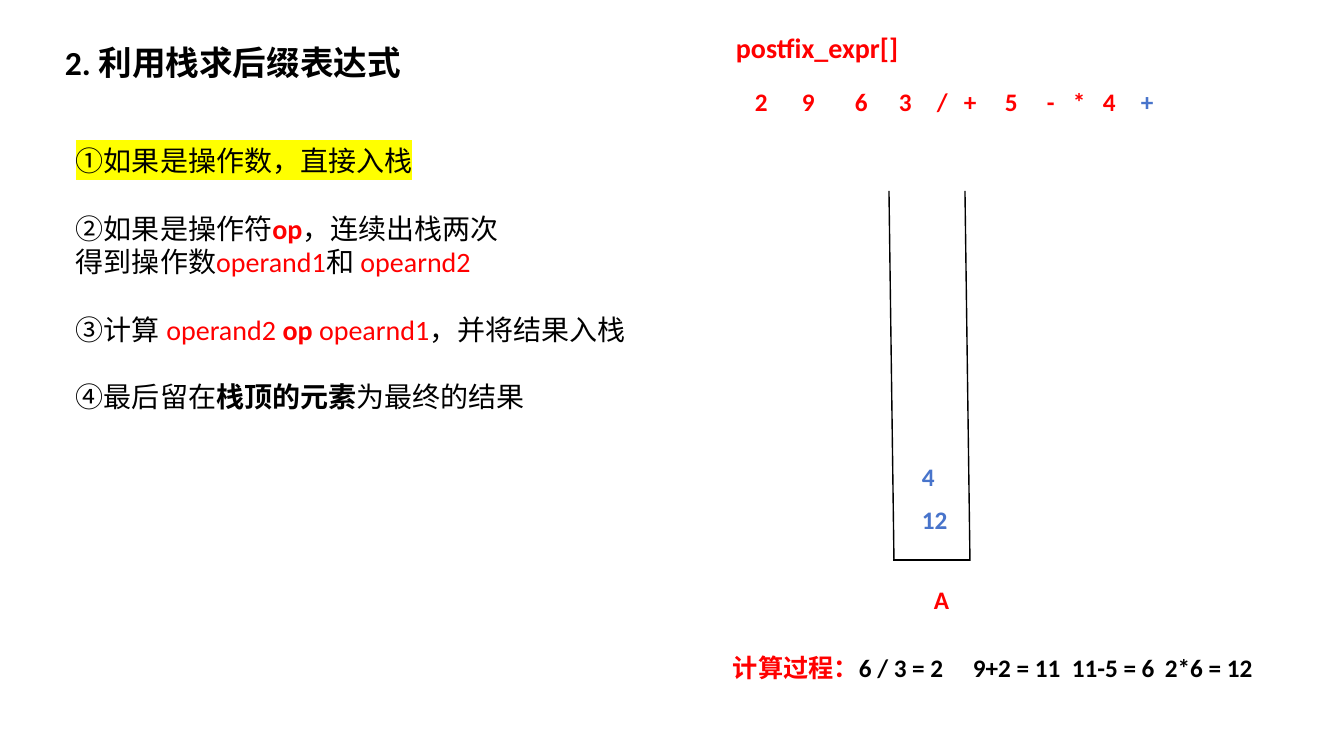
from lxml import etree
from pptx import Presentation
from pptx.dml.color import RGBColor
from pptx.enum.shapes import MSO_CONNECTOR
from pptx.oxml.ns import qn
from pptx.util import Pt

LINE = MSO_CONNECTOR.STRAIGHT
PX = 914400 / 100.8
BLACK, RED, BLUE, YELLOW = "000000", "FF0000", "4874CB", "FFFF00"

# Content: a run is text, colour, bold
TITLE = [[("2. 利用栈求后缀表达式", BLACK, True)]]
STEPS = [
    [("①如果是操作数，直接入栈", BLACK, False)],
    [("②如果是操作符", BLACK, False), ("op", RED, True),
     ("，连续出栈两次", BLACK, False)],
    [("得到操作数", BLACK, False), ("operand1", RED, False),
     ("和 ", BLACK, False), ("opearnd2", RED, False)],
    [("③计算 ", BLACK, False), ("operand2 ", RED, False), ("op ", RED, True),
     ("opearnd1", RED, False), ("，并将结果入栈", BLACK, False)],
    [("④最后留在", BLACK, False), ("栈顶的元素", BLACK, True),
     ("为最终的结果", BLACK, False)],
]
GAPS = {1: 24, 3: 24, 4: 24}  # points before each numbered step
ARRAY = [[("postfix_expr[]", RED, True)]]
TOKENS = [("2", 745), ("9", 792), ("6", 845), ("3", 889), ("/", 927),
          ("+", 954), ("5", 995), ("-", 1037), ("*", 1063), ("4", 1093),
          ("+", 1131)]
STACK = ["12", "4"]  # from the bottom up
NAME = [[("A", RED, True)]]
SUMS = ["6 / 3 = 2", "9+2 = 11", "11-5 = 6", "2*6 = 12"]
WORK = [[("计算过程：", RED, True), ("\t".join(SUMS), BLACK, True)]]
TABS = [240, 339, 432]
WALLS = [(889, 191, 894, 561), (965, 191, 970, 561), (893, 560, 970, 560)]


def emu(px):
    return round(px * PX)


def rgb(code):
    return RGBColor.from_string(code)


def mark(run, code):
    fill = run._r.get_or_add_rPr().find(qn("a:solidFill"))
    light = etree.Element(qn("a:highlight"))
    etree.SubElement(light, qn("a:srgbClr")).set("val", code)
    fill.addnext(light)


def text(paras, x, y, w, h, size=18, gaps=None, tabs=(), lit=None):
    """Add a text box; lit is the index of a highlighted paragraph."""
    box = slide.shapes.add_textbox(emu(x), emu(y), emu(w), emu(h))
    frame = box.text_frame
    frame.word_wrap = True
    for i, runs in enumerate(paras):
        para = frame.paragraphs[0] if i == 0 else frame.add_paragraph()
        if tabs:
            stops = etree.SubElement(para._p.get_or_add_pPr(), qn("a:tabLst"))
            for pos in tabs:
                stop = etree.SubElement(stops, qn("a:tab"))
                stop.set("pos", str(emu(pos)))
                stop.set("algn", "l")
        if gaps and i in gaps:
            para.space_before = Pt(gaps[i])
        for words, color, bold in runs:
            run = para.add_run()
            run.text = words
            font = run.font
            font.name, font.size, font.bold = "Calibri", Pt(size), bold
            font.color.rgb = rgb(color)
            if i == lit:
                mark(run, YELLOW)


deck = Presentation()
deck.slide_width, deck.slide_height = emu(1344), emu(756)
slide = deck.slides.add_slide(deck.slide_layouts[6])

# Title and steps
text(TITLE, 55, 37, 395, 54, size=24)
text(STEPS, 66, 139, 672, 281, size=20, gaps=GAPS, lit=0)

# Postfix expression, with the current token in blue
text(ARRAY, 726, 26, 186, 46, size=20)
for i, (sign, x) in enumerate(TOKENS):
    color = BLUE if i == len(TOKENS) - 1 else RED
    text([[(sign, color, True)]], x, 81, 42, 43)

# Stack walls
for x1, y1, x2, y2 in WALLS:
    wall = slide.shapes.add_connector(LINE, emu(x1), emu(y1), emu(x2), emu(y2))
    wall.line.color.rgb = rgb(BLACK)
    wall.line.width = Pt(1)
    etree.SubElement(wall._element.spPr, qn("a:effectLst"))

# Stack values and name
for i, value in enumerate(STACK):
    text([[(value, BLUE, True)]], 912, 499 - 43 * i, 51, 43)
text(NAME, 924, 579, 22, 40)

# Working
text(WORK, 723, 647, 561, 79, tabs=TABS)

deck.save("out.pptx")
